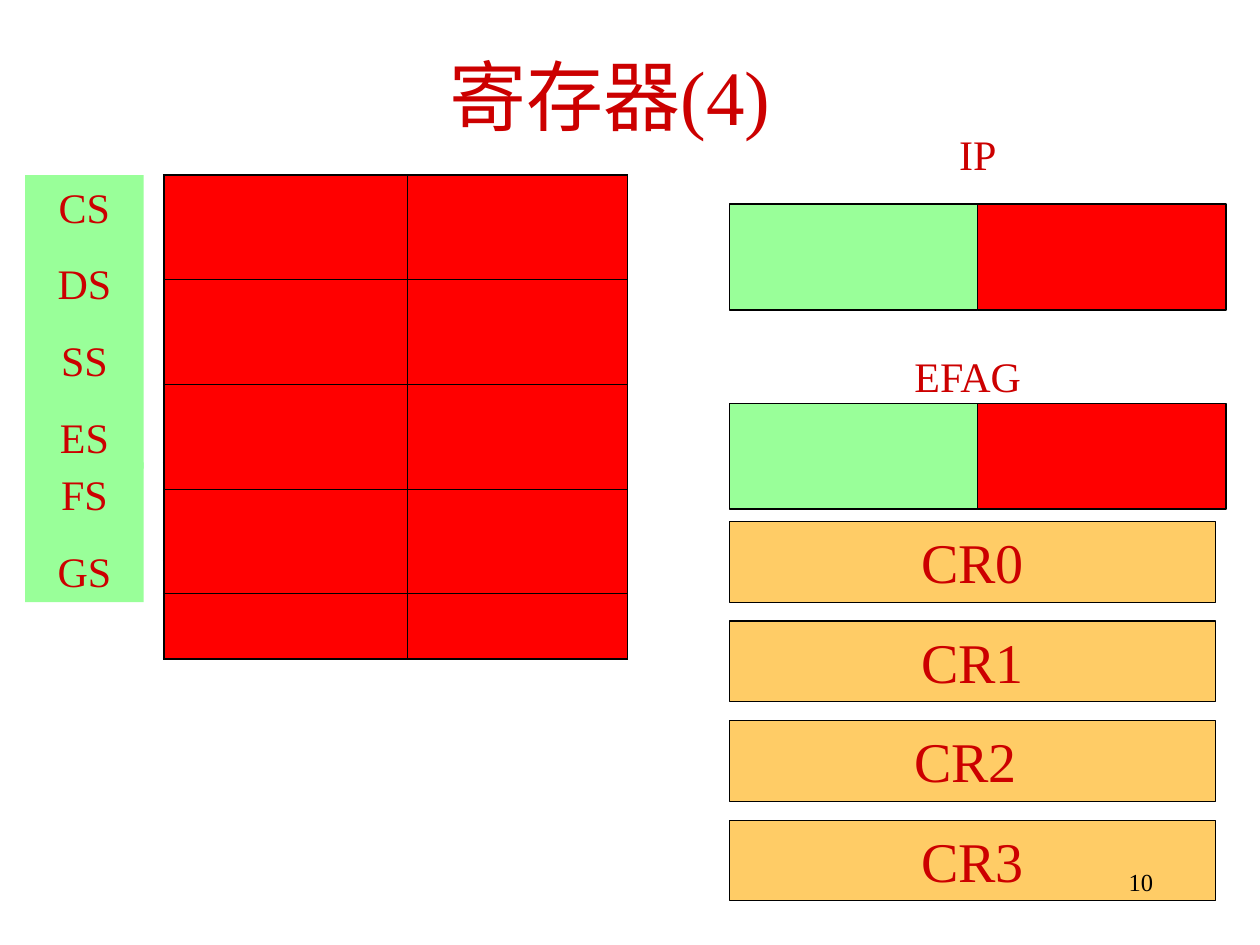
from lxml.etree import SubElement
from pptx import Presentation
from pptx.dml.color import RGBColor
from pptx.enum.shapes import MSO_SHAPE
from pptx.enum.text import MSO_ANCHOR, PP_ALIGN
from pptx.oxml.ns import qn
from pptx.util import Inches, Pt

BLACK = RGBColor(0x00, 0x00, 0x00)
DARK_RED = RGBColor(0xCC, 0x00, 0x00)
RED = RGBColor(0xFF, 0x00, 0x00)
GREEN = RGBColor(0x99, 0xFF, 0x99)
ORANGE = RGBColor(0xFF, 0xCC, 0x66)


class RegisterSlide:
    font_name = "Times New Roman"
    outer_border = Pt(1.08)
    inner_border = Pt(0.45)

    def __init__(self, presentation):
        self.slide = presentation.slides.add_slide(presentation.slide_layouts[5])

    def set_text(self, shape, lines, size, color=DARK_RED, alignment=PP_ALIGN.CENTER,
                 space_before=0, anchor=MSO_ANCHOR.TOP):
        frame = shape.text_frame
        frame.word_wrap = True
        frame.vertical_anchor = anchor
        frame.text = "\n".join(lines)
        for paragraph in frame.paragraphs:
            paragraph.alignment = alignment
            paragraph.space_before = Pt(space_before)
            paragraph.font.name = self.font_name
            paragraph.font.size = Pt(size)
            paragraph.font.color.rgb = color

    def title(self, text, left, top, width, height):
        shape = self.slide.shapes.title
        shape.left, shape.top = Inches(left), Inches(top)
        shape.width, shape.height = Inches(width), Inches(height)
        self.set_text(shape, [text], 44, anchor=MSO_ANCHOR.MIDDLE)

    def label(self, text, left, top, width, height, size=24, **style):
        shape = self.slide.shapes.add_textbox(
            Inches(left), Inches(top), Inches(width), Inches(height))
        self.set_text(shape, [text], size, **style)

    def box(self, left, top, width, height, fill, outlined=True):
        shape = self.slide.shapes.add_shape(
            MSO_SHAPE.RECTANGLE, Inches(left), Inches(top), Inches(width), Inches(height))
        shape.shadow.inherit = False
        shape.fill.solid()
        shape.fill.fore_color.rgb = fill
        if outlined:
            shape.line.color.rgb = BLACK
            shape.line.width = Pt(0.75)
        else:
            shape.line.fill.background()
        return shape

    def border(self, cell, side, width):
        line = SubElement(cell._tc.get_or_add_tcPr(), qn(f"a:ln{side}"), w=str(width))
        fill = SubElement(line, qn("a:solidFill"))
        SubElement(fill, qn("a:srgbClr"), val=str(BLACK))

    def grid(self, left, top, column_widths, row_count, row_height):
        column_count = len(column_widths)
        table = self.slide.shapes.add_table(
            row_count, column_count, Inches(left), Inches(top),
            Inches(sum(column_widths)), Inches(row_count * row_height)).table
        table.first_row = table.horz_banding = False
        for column, width in zip(table.columns, column_widths):
            column.width = Inches(width)
        for row in range(row_count):
            for column in range(column_count):
                cell = table.cell(row, column)
                edges = {"L": column == 0, "R": column == column_count - 1,
                         "T": row == 0, "B": row == row_count - 1}
                for side, is_outer in edges.items():
                    self.border(cell, side, self.outer_border if is_outer else self.inner_border)
                cell.fill.solid()
                cell.fill.fore_color.rgb = RED


def main():
    presentation = Presentation()
    presentation.slide_width = Inches(10)
    presentation.slide_height = Inches(7.5)
    page = RegisterSlide(presentation)
    page.title("寄存器(4)", 0.59, 0.13, 8.5, 1.25)

    segment_columns = [1.93, 1.75]
    page.grid(1.3, 3.67, segment_columns, 2, 0.78)
    for names, top, height in ((["CS", "DS", "SS", "ES"], 1.39, 2.33),
                               (["FS", "GS"], 3.67, 1.11)):
        segment_names = page.box(0.2, top, 0.94, height, GREEN, outlined=False)
        page.set_text(segment_names, names, 24, space_before=15)
    page.grid(1.3, 1.39, segment_columns, 4, 0.83)

    register_left, half_width = 5.79, 1.97
    for name, label_left, label_top, top in (("IP", 7.05, 0.97, 1.62),
                                             ("EFAG", 6.97, 2.73, 3.2)):
        for index, color in enumerate((GREEN, RED)):
            page.box(register_left + index * half_width, top, half_width, 0.84, color)
        page.label(name, label_left, label_top, 1.42, 0.5, space_before=15)

    for index, name in enumerate(("CR0", "CR1", "CR2 ", "CR3")):
        control_register = page.box(register_left, 4.14 + index * 0.79, 3.86, 0.64, ORANGE)
        page.set_text(control_register, [name], 32, space_before=20)

    page.label("10", 7.17, 6.83, 2.08, 0.5, size=14, color=BLACK, alignment=PP_ALIGN.RIGHT)
    presentation.save("out.pptx")


if __name__ == "__main__":
    main()
